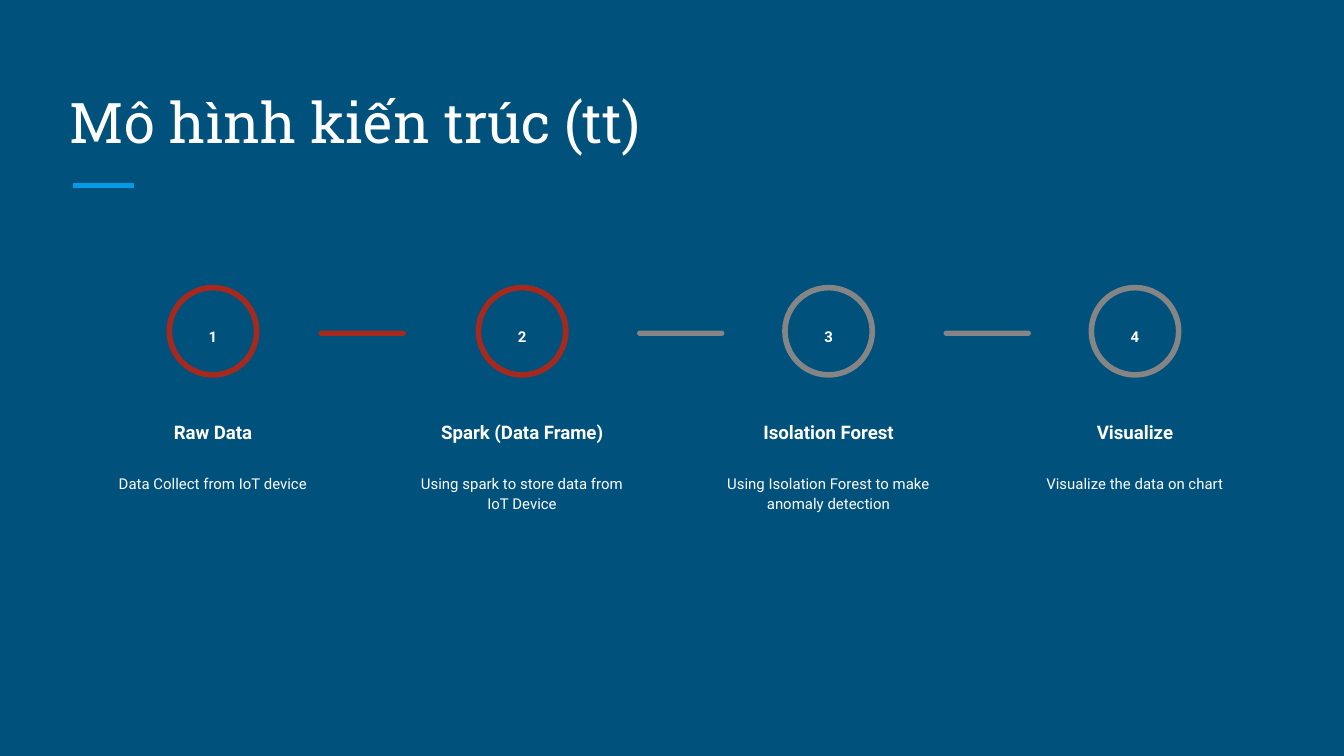
from dataclasses import dataclass

from lxml import etree
from pptx import Presentation
from pptx.dml.color import RGBColor
from pptx.enum import shapes as s, text as t
from pptx.oxml import ns
from pptx.util import Inches, Pt

NAVY, BLUE, RED, GREY, WHITE = "00517C", "039BE5", "A7291E", "858585", "FFFFFF"
RING = 0.65   # diameter of a step ring
TOP = 2.14    # top of the rings
WIDE = 1.87   # width of a step's texts


@dataclass
class Step:
    left: float
    color: str
    name: str
    note: str


@dataclass
class Bar:
    left: float
    color: str


STEPS = [
    Step(1.26, RED, "Raw Data", "Data Collect from IoT device"),
    Step(3.56, RED, "Spark (Data Frame)", "Using spark to store data from IoT Device"),
    Step(5.84, GREY, "Isolation Forest", "Using Isolation Forest to make anomaly detection"),
    Step(8.12, GREY, "Visualize", "Visualize the data on chart"),
]
BARS = [Bar(2.37, RED), Bar(4.74, GREY), Bar(7.02, GREY)]


def paint(target, color: str) -> None:
    """Give a fill one solid colour."""
    target.solid()
    target.fore_color.rgb = RGBColor.from_string(color)


def style(frame, size: float, face: str, bold: bool, anchor) -> None:
    """Set the margins, anchor and font of a text frame."""
    frame.word_wrap = True
    frame.auto_size = t.MSO_AUTO_SIZE.NONE
    frame.vertical_anchor = anchor
    frame.margin_left = frame.margin_right = Inches(0.1)
    frame.margin_top = frame.margin_bottom = Inches(0.1)
    font = frame.paragraphs[0].font
    font.size, font.name, font.bold = Pt(size), face, bold
    paint(font.fill, WHITE)


def label(group, words: str, mid: float, top: float, width: float, height: float,
          size: float = 8, bold: bool = False, anchor=t.MSO_ANCHOR.TOP) -> None:
    """Add a text box centred on mid."""
    box = group.shapes.add_textbox(Inches(mid - width / 2), Inches(top),
                                   Inches(width), Inches(height))
    box.text_frame.text = words
    style(box.text_frame, size, "Roboto", bold, anchor)
    para = box.text_frame.paragraphs[0]
    para.alignment = t.PP_ALIGN.CENTER
    para.line_spacing = 1.15


def add_step(slide, number: int, step: Step) -> None:
    """Draw one step as a group: ring, number, name and note."""
    group = slide.shapes.add_group_shape()
    ring = group.shapes.add_shape(s.MSO_SHAPE.OVAL, Inches(step.left),
                                  Inches(TOP), Inches(RING), Inches(RING))
    ring.shadow.inherit = False
    ring.fill.background()
    paint(ring.line.fill, step.color)
    ring.line.width = Pt(3)
    mid = step.left + RING / 2
    label(group, str(number), mid, 2.32, 0.48, 0.35, bold=True)
    label(group, step.name, mid, 2.91, WIDE, 0.49, 10, True, t.MSO_ANCHOR.BOTTOM)
    label(group, step.note, mid, 3.41, WIDE, 0.81)


def add_bar(slide, bar: Bar) -> None:
    """Draw the rounded bar between two steps."""
    shape = slide.shapes.add_shape(s.MSO_SHAPE.ROUNDED_RECTANGLE, Inches(bar.left),
                                   Inches(2.46), Inches(0.65), Inches(0.04))
    shape.adjustments[0] = 0.5
    shape.shadow.inherit = False
    paint(shape.fill, bar.color)
    shape.line.fill.background()


def add_rule(slide) -> None:
    """Draw the short line under the title."""
    rule = slide.shapes.add_connector(s.MSO_CONNECTOR.STRAIGHT, Inches(0.54),
                                      Inches(1.38), Inches(1), Inches(1.38))
    paint(rule.line.fill, BLUE)
    rule.line.width = Pt(3)
    etree.SubElement(rule._element.spPr, ns.qn("a:effectLst"))


def main() -> None:
    deck = Presentation()
    # Widescreen, 16 to 9
    deck.slide_width = Inches(10)
    deck.slide_height = Inches(10 * 9 / 16)
    slide = deck.slides.add_slide(deck.slide_layouts[5])
    paint(slide.background.fill, NAVY)

    # Title
    add_rule(slide)
    title = slide.shapes.title
    title.left, title.top = Inches(0.42), Inches(0.5)
    title.width, title.height = Inches(9.15), Inches(0.75)
    title.text_frame.text = "Mô hình kiến trúc (tt)"
    style(title.text_frame, 30, "Roboto Slab", False, t.MSO_ANCHOR.BOTTOM)
    title.text_frame.paragraphs[0].alignment = t.PP_ALIGN.LEFT

    # Process
    for bar in BARS:
        add_bar(slide, bar)
    for number, step in enumerate(STEPS, 1):
        add_step(slide, number, step)

    deck.save("out.pptx")


if __name__ == "__main__":
    main()
